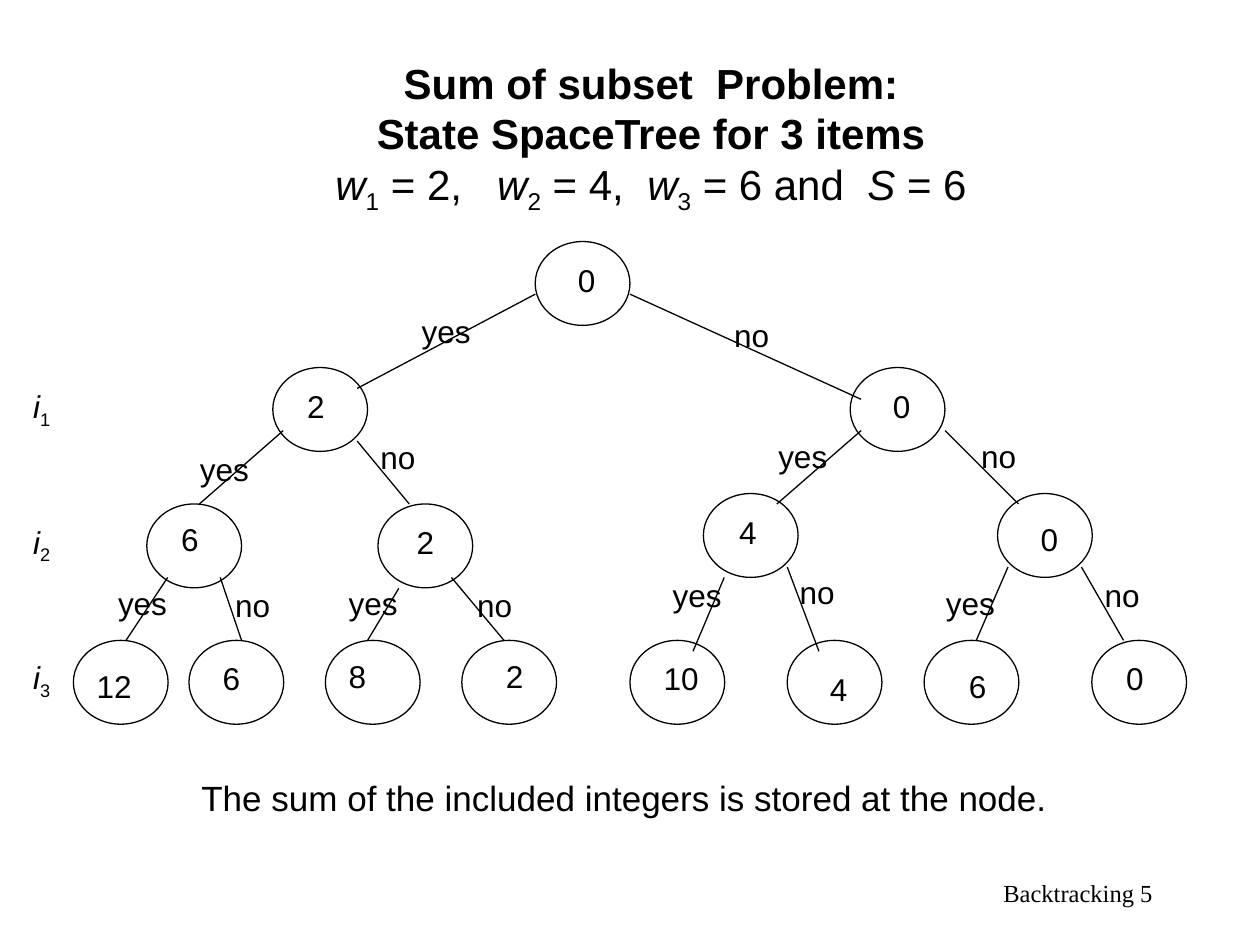
from lxml.etree import SubElement
from pptx import Presentation
from pptx.dml.color import RGBColor
from pptx.enum.shapes import MSO_CONNECTOR, MSO_SHAPE
from pptx.enum.text import MSO_ANCHOR, MSO_AUTO_SIZE, PP_ALIGN
from pptx.oxml.ns import qn
from pptx.util import Cm, Pt

BLACK = RGBColor(0, 0, 0)

TITLE = {"name": "Arial", "size": Pt(24), "bold": False, "italic": False}
HEADING = {**TITLE, "bold": True}
LABEL = {"name": "Arial", "size": Pt(18)}
CAPTION = {"name": "Arial", "size": Pt(20)}
FOOTER = {"name": "Times New Roman", "size": Pt(14)}
ITALIC = {"italic": True}
SUBSCRIPT = "-25000"

NODE_WIDTH, NODE_HEIGHT = 1.91, 1.69
LABEL_HEIGHT = 1.02
LABEL_WIDTHS = {1: 0.86, 2: 1.22, 3: 1.5}

# Level by level: sum, node corner in the tree, sum's offset in the node (cm)
NODES = [
    ("0", (9.31, 0), (0.61, 0.26)),
    ("2", (4.02, 2.54), (0.44, 0.26)),
    ("0", (15.66, 2.54), (0.61, 0.26)),
    ("6", (1.48, 5.29), (0.44, 0.2)),
    ("2", (6.14, 5.29), (0.53, 0.25)),
    ("4", (12.7, 5.08), (0.47, 0.26)),
    ("0", (18.63, 5.08), (0.62, 0.41)),
    ("12", (0, 8.04), (0.22, 0.42)),
    ("6", (2.33, 8.04), (0.43, 0.25)),
    ("8", (5.08, 8.04), (0.22, 0.22)),
    ("2", (7.83, 8.04), (0.64, 0.22)),
    ("10", (11.22, 8.04), (0.43, 0.25)),
    ("4", (14.39, 8.04), (0.61, 0.47)),
    ("6", (17.15, 8.04), (0.65, 0.42)),
    ("0", (20.53, 8.04), (0.44, 0.25)),
]

# Level by level: start, end and label corner in the tree (cm); yes and no take turns
BRANCHES = [
    ((9.31, 1.06), (5.72, 2.96), (6.77, 1.3)),
    ((11.22, 1.06), (15.88, 3.18), (13.07, 1.38)),
    ((4.23, 3.81), (2.54, 5.29), (2.3, 4.07)),
    ((5.72, 4.02), (6.77, 5.29), (5.94, 3.84)),
    ((15.88, 3.81), (14.18, 5.29), (13.96, 3.82)),
    ((17.57, 3.81), (19.05, 5.29), (18.05, 3.82)),
    ((1.9, 6.77), (1.06, 8.04), (0.65, 6.77)),
    ((2.96, 6.77), (3.39, 8.04), (3.01, 6.82)),
    ((6.56, 6.99), (5.93, 8.04), (5.3, 6.77)),
    ((7.62, 6.77), (8.68, 8.04), (7.89, 6.82)),
    ((13.12, 6.77), (12.49, 8.26), (11.83, 6.61)),
    ((14.39, 6.56), (15.03, 8.26), (14.39, 6.56)),
    ((18.84, 6.56), (18.2, 8.04), (17.34, 6.77)),
    ((20.32, 6.56), (21.17, 8.04), (20.54, 6.61)),
]


def set_all(target, values):
    for attribute, value in values.items():
        setattr(target, attribute, value)


def place(shape, box):
    set_all(shape, dict(zip(("left", "top", "width", "height"), map(Cm, box))))


def add_run(paragraph, text, style, baseline=None):
    run = paragraph.add_run()
    run.text = text
    set_all(run.font, style)
    run.font.color.rgb = BLACK
    if baseline:
        run._r.get_or_add_rPr().set("baseline", baseline)


def add_text(slide, box, text, style, wrap=False, anchor=MSO_ANCHOR.TOP, align=PP_ALIGN.LEFT):
    """Add a one-line text box and return its paragraph."""
    frame = slide.shapes.add_textbox(*map(Cm, box)).text_frame
    set_all(frame, {"word_wrap": wrap, "vertical_anchor": anchor})
    paragraph = frame.paragraphs[0]
    paragraph.alignment = align
    add_run(paragraph, text, style)
    return paragraph


def add_label(slide, left, top, text):
    add_text(slide, (left, top, LABEL_WIDTHS[len(text)], LABEL_HEIGHT), text, LABEL)


def outline(line):
    line.color.rgb = BLACK
    line.width = Pt(0.75)


def fill_title(slide, box):
    title = slide.shapes.title
    place(title, box)
    frame = title.text_frame
    set_all(frame, {"word_wrap": True, "auto_size": MSO_AUTO_SIZE.NONE,
                    "vertical_anchor": MSO_ANCHOR.MIDDLE})
    paragraph = frame.paragraphs[0]
    paragraph.alignment = PP_ALIGN.CENTER
    for heading in ("Sum of subset  Problem:", "State SpaceTree for 3 items"):
        add_run(paragraph, heading, HEADING)
        paragraph.add_line_break()
    weights = (("1", " = 2,   "), ("2", " = 4,  "), ("3", " = 6 and  "))
    for index, value in weights:
        add_run(paragraph, "w", {**TITLE, **ITALIC})
        add_run(paragraph, index, TITLE, SUBSCRIPT)
        add_run(paragraph, value, TITLE)
    add_run(paragraph, "S", {**TITLE, **ITALIC})
    add_run(paragraph, " = 6", TITLE)


def add_node(slide, left, top, total, offset):
    node = slide.shapes.add_shape(MSO_SHAPE.OVAL, *map(Cm, (left, top, NODE_WIDTH, NODE_HEIGHT)))
    node.shadow.inherit = False
    node.fill.background()
    outline(node.line)
    add_label(slide, left + offset[0], top + offset[1], total)


def add_branch(slide, start, end):
    branch = slide.shapes.add_connector(MSO_CONNECTOR.STRAIGHT, *map(Cm, start + end))
    outline(branch.line)
    SubElement(branch._element.spPr, qn("a:effectLst"))


def add_tree(slide, left, top):
    def within(point):
        return left + point[0], top + point[1]

    for total, corner, offset in NODES:
        add_node(slide, *within(corner), total, offset)
    for number, (start, end, label) in enumerate(BRANCHES):
        add_branch(slide, within(start), within(end))
        add_label(slide, *within(label), ("yes", "no")[number % 2])


def add_item_labels(slide, left, top, step):
    for row in range(3):
        box = (left, top + row * step, 1, 1.12)
        item = add_text(slide, box, "i", {**LABEL, **ITALIC}, wrap=True)
        add_run(item, str(row + 1), LABEL, SUBSCRIPT)


def main():
    deck = Presentation()
    set_all(deck, {"slide_width": Cm(25.4), "slide_height": Cm(19.05)})
    slide = deck.slides.add_slide(deck.slide_layouts[5])
    fill_title(slide, (1.91, 1.27, 22.43, 2.96))
    add_tree(slide, 1.48, 4.87)
    add_item_labels(slide, 0.42, 7.67, 2.74)
    add_text(slide, (3.81, 15.24, 18.63, 1.69),
             "The sum of the included integers is stored at the node.",
             CAPTION, wrap=True, anchor=MSO_ANCHOR.MIDDLE)
    add_text(slide, (18.21, 17.36, 5.28, 1.27), "Backtracking 5", FOOTER,
             anchor=MSO_ANCHOR.MIDDLE, align=PP_ALIGN.RIGHT)
    deck.save("out.pptx")


if __name__ == "__main__":
    main()
